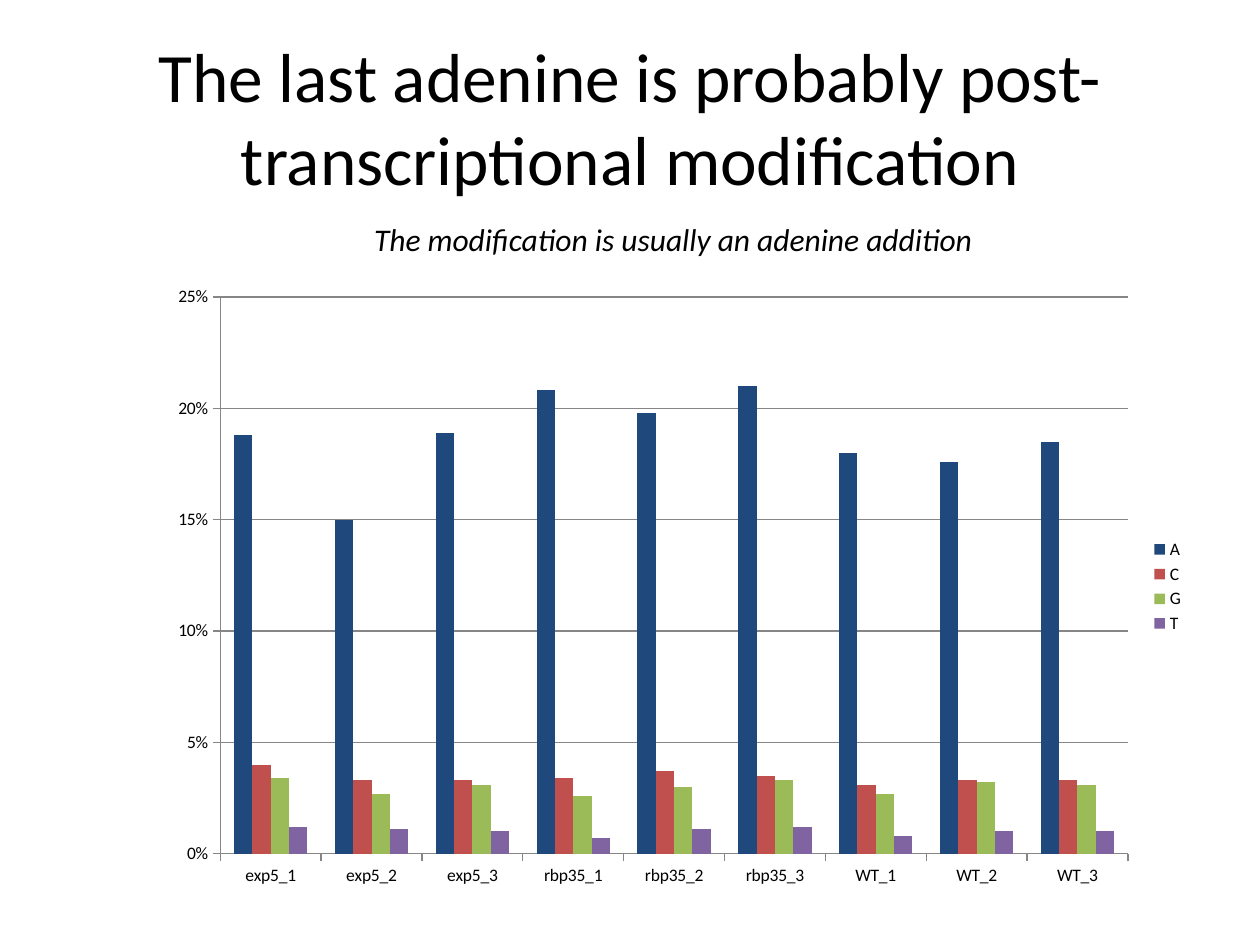
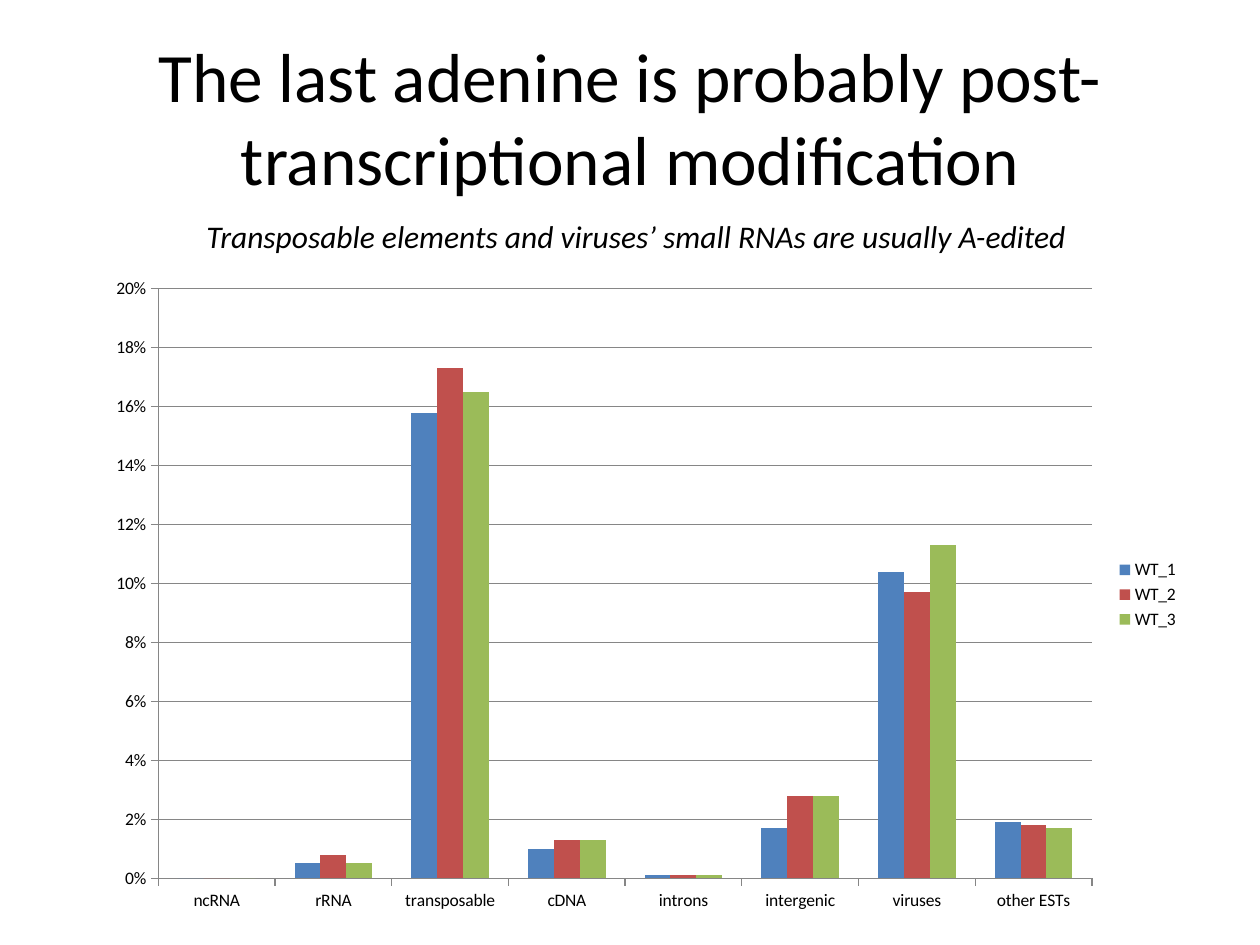
import pptx
import pptx.chart.data
import pptx.dml.color
import pptx.enum.chart
import pptx.enum.text
import pptx.util

Inches = pptx.util.Inches
Pt = pptx.util.Pt

FONT = "Calibri"
BLACK = "000000"
AXIS_GRAY = "868686"
NAVY, BLUE, RED, GREEN, PURPLE = "1F497D", "4F81BD", "C0504D", "9BBB59", "8064A2"
TITLE = "The last adenine is probably post-transcriptional modification"


def color(hex_value):
    return pptx.dml.color.RGBColor.from_string(hex_value)


def set_font(font, size, italic=False):
    font.name = FONT
    font.size = Pt(size)
    font.bold = False
    font.italic = italic
    font.color.rgb = color(BLACK)


pages = [
    {
        "subtitle": "The modification is usually an adenine addition",
        "subtitle_at": (2.87, 1.7, 5.01, 0.4),
        "chart_at": (1.25, 2.18, 8.25, 4.95),
        "axis_top": 0.25,
        "axis_step": 0.05,
        "categories": ["exp5_1", "exp5_2", "exp5_3", "rbp35_1", "rbp35_2",
                       "rbp35_3", "WT_1", "WT_2", "WT_3"],
        "series": [
            ("A", NAVY, [0.188, 0.15, 0.189, 0.208, 0.198, 0.21, 0.18, 0.176, 0.185]),
            ("C", RED, [0.04, 0.033, 0.033, 0.034, 0.037, 0.035, 0.031, 0.033, 0.033]),
            ("G", GREEN, [0.034, 0.027, 0.031, 0.026, 0.03, 0.033, 0.027, 0.032, 0.031]),
            ("T", PURPLE, [0.012, 0.011, 0.01, 0.007, 0.011, 0.012, 0.008, 0.01, 0.01]),
        ],
    },
    {
        "subtitle": "Transposable elements and viruses’ small RNAs are usually A-edited",
        "subtitle_at": (1.54, 1.67, 7.09, 0.4),
        "chart_at": (0.75, 2.11, 8.71, 5.22),
        "axis_top": 0.2,
        "axis_step": 0.02,
        "categories": ["ncRNA", "rRNA", "transposable", "cDNA", "introns",
                       "intergenic", "viruses", "other ESTs"],
        "series": [
            ("WT_1", BLUE, [0, 0.005, 0.158, 0.01, 0.001, 0.017, 0.104, 0.019]),
            ("WT_2", RED, [0, 0.008, 0.173, 0.013, 0.001, 0.028, 0.097, 0.018]),
            ("WT_3", GREEN, [0, 0.005, 0.165, 0.013, 0.001, 0.028, 0.113, 0.017]),
        ],
    },
]

deck = pptx.Presentation()
deck.slide_width = Inches(10)
deck.slide_height = Inches(7.5)
title_only = deck.slide_layouts[5]

for content in pages:
    page = deck.slides.add_slide(title_only)

    title = page.shapes.title
    title.left, title.top = Inches(0.5), Inches(0.3)
    title.width, title.height = Inches(9), Inches(1.25)
    title.text_frame.text = TITLE
    title.text_frame.word_wrap = True
    title.text_frame.auto_size = pptx.enum.text.MSO_AUTO_SIZE.NONE
    title.text_frame.vertical_anchor = pptx.enum.text.MSO_ANCHOR.MIDDLE
    para = title.text_frame.paragraphs[0]
    para.alignment = pptx.enum.text.PP_ALIGN.CENTER
    set_font(para.font, 39.6)

    box = page.shapes.add_textbox(*map(Inches, content["subtitle_at"]))
    box.text_frame.text = content["subtitle"]
    box.text_frame.word_wrap = False
    box.text_frame.auto_size = pptx.enum.text.MSO_AUTO_SIZE.SHAPE_TO_FIT_TEXT
    set_font(box.text_frame.paragraphs[0].font, 18, italic=True)

    data = pptx.chart.data.CategoryChartData(number_format="0%")
    data.categories = content["categories"]
    for name, fill, values in content["series"]:
        data.add_series(name, values)
    chart = page.shapes.add_chart(
        pptx.enum.chart.XL_CHART_TYPE.COLUMN_CLUSTERED,
        *map(Inches, content["chart_at"]), data).chart
    set_font(chart.font, 10)
    chart.has_title = False
    chart.has_legend = True
    chart.legend.position = pptx.enum.chart.XL_LEGEND_POSITION.RIGHT
    chart.legend.include_in_layout = False

    plot = chart.plots[0]
    plot.gap_width = 150
    plot.overlap = 0
    plot.vary_by_categories = False
    for series, (name, fill, values) in zip(plot.series, content["series"]):
        series.format.fill.solid()
        series.format.fill.fore_color.rgb = color(fill)
        series.invert_if_negative = False

    value_axis = chart.value_axis
    value_axis.minimum_scale = 0
    value_axis.maximum_scale = content["axis_top"]
    value_axis.major_unit = content["axis_step"]
    value_axis.has_major_gridlines = True
    value_axis.tick_labels.number_format = "0%"
    value_axis.tick_labels.number_format_is_linked = False
    for axis in (chart.category_axis, value_axis):
        axis.major_tick_mark = pptx.enum.chart.XL_TICK_MARK.OUTSIDE
        axis.minor_tick_mark = pptx.enum.chart.XL_TICK_MARK.NONE
    for rule in (chart.category_axis, value_axis, value_axis.major_gridlines):
        rule.format.line.color.rgb = color(AXIS_GRAY)
        rule.format.line.width = Pt(0.75)

deck.save("out.pptx")
